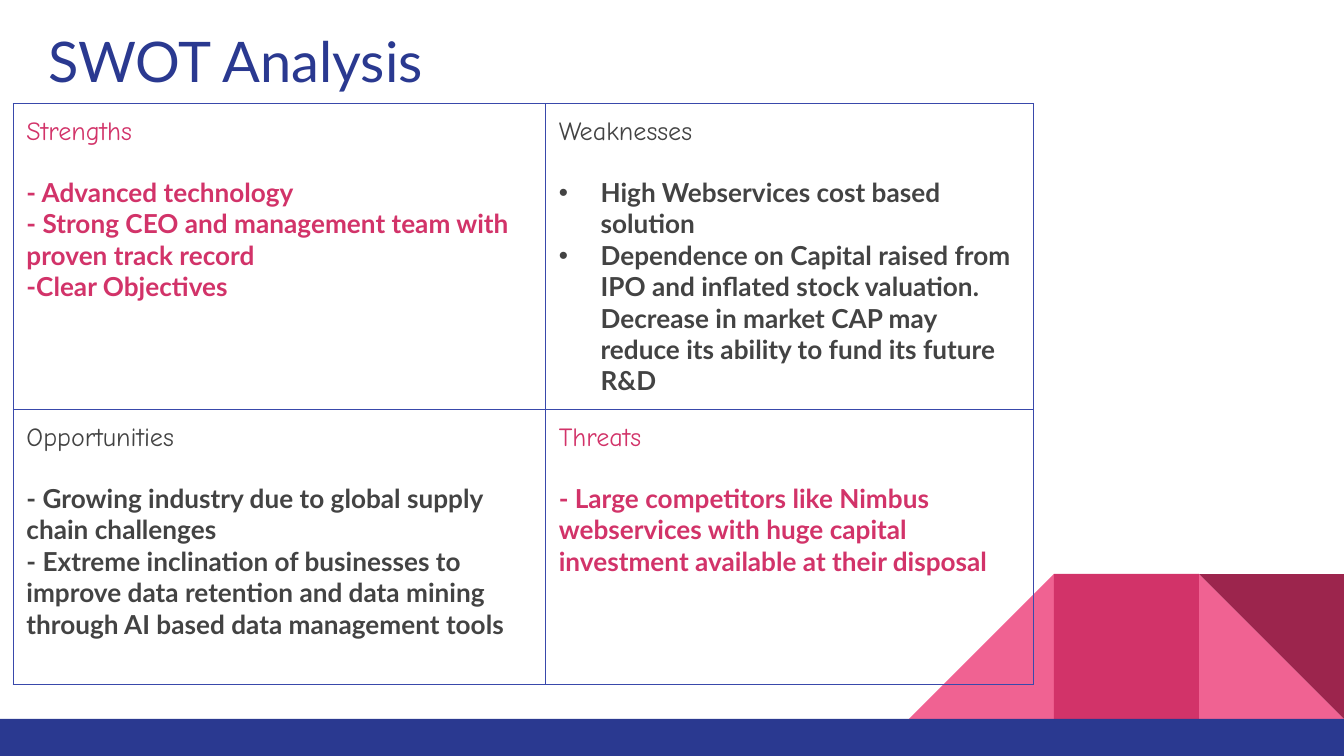
"""Build a SWOT analysis slide with a two-by-two table and a geometric corner."""
from lxml.etree import SubElement
from pptx import Presentation
from pptx.dml.color import RGBColor
from pptx.enum.shapes import MSO_SHAPE as Shape
from pptx.enum.text import MSO_ANCHOR as Anchor, MSO_AUTO_SIZE as AutoSize, PP_ALIGN as Align
from pptx.oxml.ns import qn
from pptx.util import Cm, Pt

NAVY, PINK, ROSE, WINE, GREY, BORDER = "2A3990", "D23369", "F06292", "9C254D", "434343", "3949AB"


def color(value):
    return RGBColor.from_string(value)


def add_run(paragraph, text, font, size, value, bold=False):
    run = paragraph.add_run()
    run.text = text
    run.font.name, run.font.size, run.font.bold = font, Pt(size), bold
    run.font.color.rgb = color(value)


presentation = Presentation()
presentation.slide_width, presentation.slide_height = Cm(25.4), Cm(14.29)
slide = presentation.slides.add_slide(presentation.slide_layouts[5])

side, corner_left, corner_top = 2.74, 17.18, 10.85
bar_top = corner_top + side
decorations = [
    (Shape.RIGHT_TRIANGLE, corner_left + 2 * side, corner_top, side, side, 0, ROSE),
    (Shape.RIGHT_TRIANGLE, corner_left, corner_top, side, side, 270, ROSE),
    (Shape.RECTANGLE, corner_left + side, corner_top, side, side, 0, PINK),
    (Shape.RIGHT_TRIANGLE, corner_left + 2 * side, corner_top, side, side, 180, WINE),
    (Shape.RECTANGLE, 0, bar_top, 25.4, 14.29 - bar_top, 0, NAVY),
]
for kind, left, top, width, height, rotation, fill in decorations:
    shape = slide.shapes.add_shape(kind, Cm(left), Cm(top), Cm(width), Cm(height))
    shape.rotation = rotation
    shape.shadow.inherit = False
    shape.fill.solid()
    shape.fill.fore_color.rgb = color(fill)
    shape.line.fill.background()

title = slide.shapes.title
title.left, title.top, title.width, title.height = Cm(0.66), Cm(0.25), Cm(23.67), Cm(1.68)
frame = title.text_frame
frame.word_wrap, frame.auto_size, frame.vertical_anchor = True, AutoSize.NONE, Anchor.TOP
frame.margin_left = frame.margin_right = frame.margin_top = frame.margin_bottom = Cm(0.25)
frame.paragraphs[0].alignment = Align.LEFT
add_run(frame.paragraphs[0], "SWOT Analysis", "Lato", 30, NAVY)

quadrants = [
    (0, 0, "Strengths", PINK, False, [
        "- Advanced technology",
        "- Strong CEO and management team with proven track record",
        "-Clear Objectives"]),
    (0, 1, "Weaknesses", GREY, True, [
        "High Webservices cost based solution",
        "Dependence on Capital raised from IPO and inflated stock valuation. "
        "Decrease in market CAP may reduce its ability to fund its future R&D"]),
    (1, 0, "Opportunities", GREY, False, [
        "- Growing industry due to global supply chain challenges",
        "- Extreme inclination of businesses to improve data retention and data mining "
        "through AI based data management tools"]),
    (1, 1, "Threats", PINK, False, [
        "- Large competitors like Nimbus webservices with huge capital "
        "investment available at their disposal"]),
]
column_widths, row_heights = [10.06, 9.22], [5.76, 5.2]
table = slide.shapes.add_table(
    2, 2, Cm(0.25), Cm(1.96), Cm(sum(column_widths)), Cm(sum(row_heights))).table
table.first_row = table.horz_banding = False
for column, width in zip(table.columns, column_widths):
    column.width = Cm(width)
for row, height in zip(table.rows, row_heights):
    row.height = Cm(height)

for row, column, heading, text_color, bulleted, items in quadrants:
    cell = table.cell(row, column)
    cell.margin_left = cell.margin_right = cell.margin_top = cell.margin_bottom = Cm(0.25)
    cell.vertical_anchor = Anchor.TOP
    properties = cell._tc.get_or_add_tcPr()
    for edge in ("a:lnL", "a:lnR", "a:lnT", "a:lnB"):
        line = SubElement(properties, qn(edge), w=str(Pt(0.75)))
        SubElement(SubElement(line, qn("a:solidFill")), qn("a:srgbClr"), val=BORDER)
    cell.fill.background()
    paragraph = cell.text_frame.paragraphs[0]
    paragraph.space_after = Pt(16)
    add_run(paragraph, heading, "Comic Neue", 14, text_color)
    for item in items:
        paragraph = cell.text_frame.add_paragraph()
        if bulleted:
            indent = paragraph._p.get_or_add_pPr()
            indent.set("marL", str(Cm(0.79)))
            indent.set("indent", str(-Cm(0.79)))
            SubElement(indent, qn("a:buFont"), typeface="Arial")
            SubElement(indent, qn("a:buChar"), char="•")
        add_run(paragraph, item, "Lato", 14, text_color, bold=True)

presentation.save("out.pptx")
